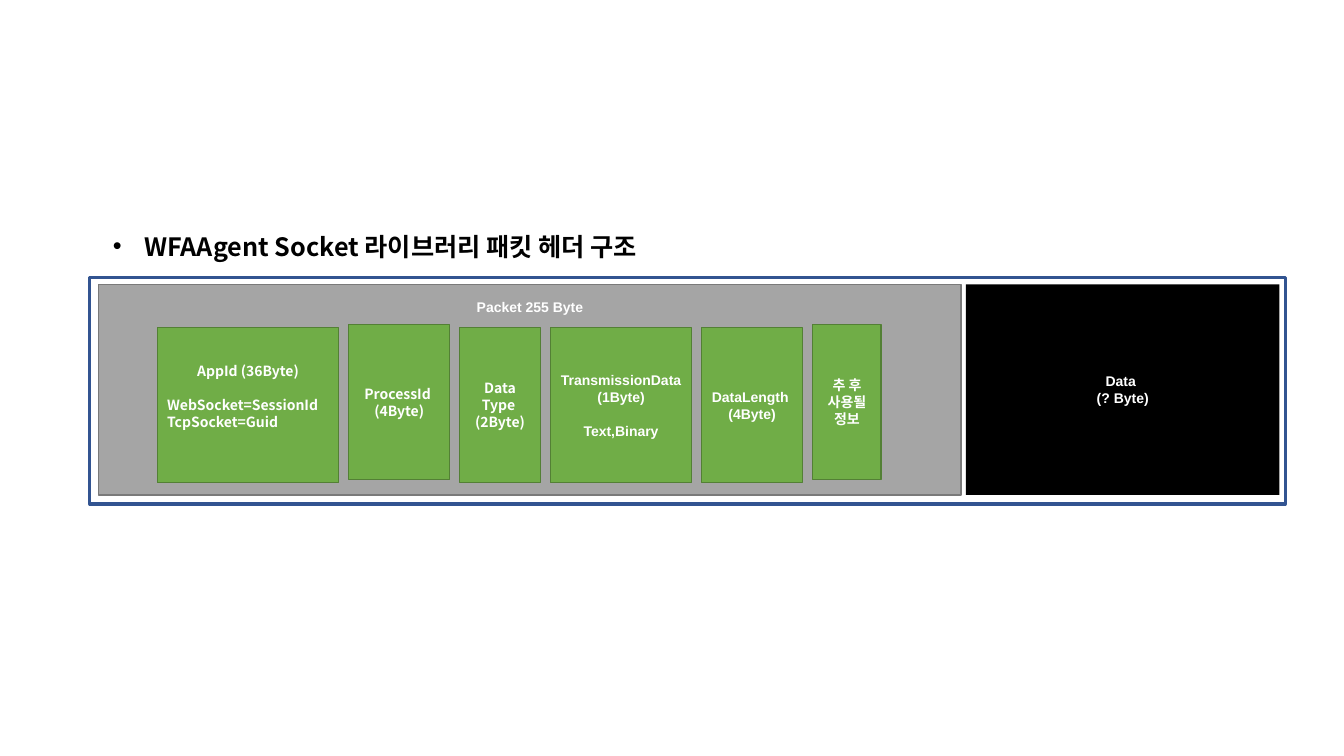
import dataclasses

import lxml.etree
import pptx
import pptx.dml.color
import pptx.enum.shapes
import pptx.enum.text
import pptx.oxml.ns
import pptx.util

ALIGN = pptx.enum.text.PP_ALIGN
ANCHOR = pptx.enum.text.MSO_ANCHOR
CELL = 0.1  # inches per grid column and row


@dataclasses.dataclass(frozen=True)
class Theme:
    black: str = "000000"
    white: str = "FFFFFF"
    packet: str = "A5A5A5"
    packet_line: str = "7A7A7A"
    field: str = "70AD47"
    field_line: str = "538035"
    frame: str = "325491"
    latin: str = "Arial"
    korean: str = "Noto Sans CJK KR"
    title_size: float = 18
    label_size: float = 10
    thin: float = 1
    thick: float = 2.25


@dataclasses.dataclass(frozen=True)
class Box:
    """A region measured in grid columns and rows."""
    left: float
    top: float
    width: float
    height: float

    def inside(self, left, top, width, height):
        return Box(self.left + left, self.top + top, width, height)

    def lengths(self):
        return [pptx.util.Inches(round(cells * CELL, 2))
                for cells in (self.left, self.top, self.width, self.height)]


@dataclasses.dataclass(frozen=True)
class Field:
    columns: float
    lines: tuple
    font: str
    raised: bool = False


THEME = Theme()
FIELDS = (
    Field(18, ("AppId (36Byte)", "WebSocket=SessionId", "TcpSocket=Guid"), THEME.korean),
    Field(10, ("ProcessId ", "(4Byte)"), THEME.korean, raised=True),
    Field(8, ("Data Type ", "(2Byte)"), THEME.korean),
    Field(14, ("TransmissionData ", "(1Byte)", "Text,Binary"), THEME.latin),
    Field(10, ("DataLength ", "(4Byte)"), THEME.latin),
    Field(6.8, ("추 후", " 사용될 ", "정보"), THEME.latin, raised=True),
)


def color(code):
    return pptx.dml.color.RGBColor.from_string(code)


def add_span(para, text, font, size, code):
    span = para.add_run()
    span.text = text
    span.font.name = font
    span.font.size = pptx.util.Pt(size)
    span.font.bold = True
    span.font.color.rgb = color(code)
    asian = lxml.etree.SubElement(span.font._element, pptx.oxml.ns.qn("a:ea"))
    asian.set("typeface", THEME.korean)


def add_block(page, box, fill=None, line=None, weight=THEME.thin):
    block = page.shapes.add_shape(pptx.enum.shapes.MSO_SHAPE.RECTANGLE, *box.lengths())
    block.shadow.inherit = False
    if fill:
        block.fill.solid()
        block.fill.fore_color.rgb = color(fill)
    else:
        block.fill.background()
    if line:
        block.line.color.rgb = color(line)
        block.line.width = pptx.util.Pt(weight)
    else:
        block.line.fill.background()
    return block


def add_label(block, lines, font=THEME.latin, anchor=ANCHOR.MIDDLE):
    frame = block.text_frame
    frame.word_wrap = True
    frame.vertical_anchor = anchor
    for index, text in enumerate(lines):
        para = frame.add_paragraph() if index else frame.paragraphs[0]
        para.alignment = ALIGN.CENTER
        add_span(para, text, font, THEME.label_size, THEME.white)
    return frame


def place_title(page, box):
    title = page.shapes.title
    title.left, title.top, title.width, title.height = box.lengths()
    frame = title.text_frame
    frame.word_wrap = False
    frame.auto_size = pptx.enum.text.MSO_AUTO_SIZE.NONE
    frame.vertical_anchor = ANCHOR.MIDDLE
    para = frame.paragraphs[0]
    para.alignment = ALIGN.LEFT
    add_span(para, "WFAAgent Socket 라이브러리 패킷 헤더 구조",
             THEME.korean, THEME.title_size, THEME.black)
    # Hanging bullet
    settings = para._p.get_or_add_pPr()
    indent = pptx.util.Inches(0.31)
    settings.set("marL", str(indent))
    settings.set("indent", str(-indent))
    for tag, key, value in (("a:buFont", "typeface", THEME.latin), ("a:buChar", "char", "•")):
        lxml.etree.SubElement(settings, pptx.oxml.ns.qn(tag)).set(key, value)


def place_fields(page, box, gap=1, lift=0.3):
    left = 0
    for field in FIELDS:
        top = -lift if field.raised else 0
        block = add_block(page, box.inside(left, top, field.columns, box.height),
                          THEME.field, THEME.field_line)
        frame = add_label(block, field.lines, field.font)
        left += field.columns + gap
        paras = frame.paragraphs
        # Notes under a field stand one line apart from its name
        if field.lines[0].startswith("AppId"):
            frame.margin_bottom = pptx.util.Inches(0.22)
            paras[1].space_before = pptx.util.Pt(12)
            for para in paras[1:]:
                para.alignment = ALIGN.LEFT
        elif field.lines[-1] == "Text,Binary":
            paras[-1].space_before = pptx.util.Pt(12)


def place_packet(page, box):
    header = box.inside(0.9, 0.7, 85.5, 20.9)
    data = header.inside(header.width + 0.5, 0, 31.1, header.height)

    # Header and outer frame
    block = add_block(page, header, THEME.packet, THEME.packet_line)
    add_label(block, ["Packet 255 Byte"], anchor=ANCHOR.TOP).margin_top = pptx.util.Inches(0.14)
    add_block(page, box, line=THEME.frame, weight=THEME.thick)

    # Header fields and data
    place_fields(page, header.inside(5.8, 4.3, 71.8, 15.4))
    add_label(add_block(page, data, THEME.black), ["Data ", "(? Byte)"])


deck = pptx.Presentation()
deck.slide_width = pptx.util.Inches(13.33)
deck.slide_height = pptx.util.Inches(7.5)
page = deck.slides.add_slide(deck.slide_layouts.get_by_name("Title Only"))
place_title(page, Box(10.2, 22.4, 59, 4))
place_packet(page, Box(8.9, 27.5, 118.6, 22.5))
deck.save("out.pptx")
